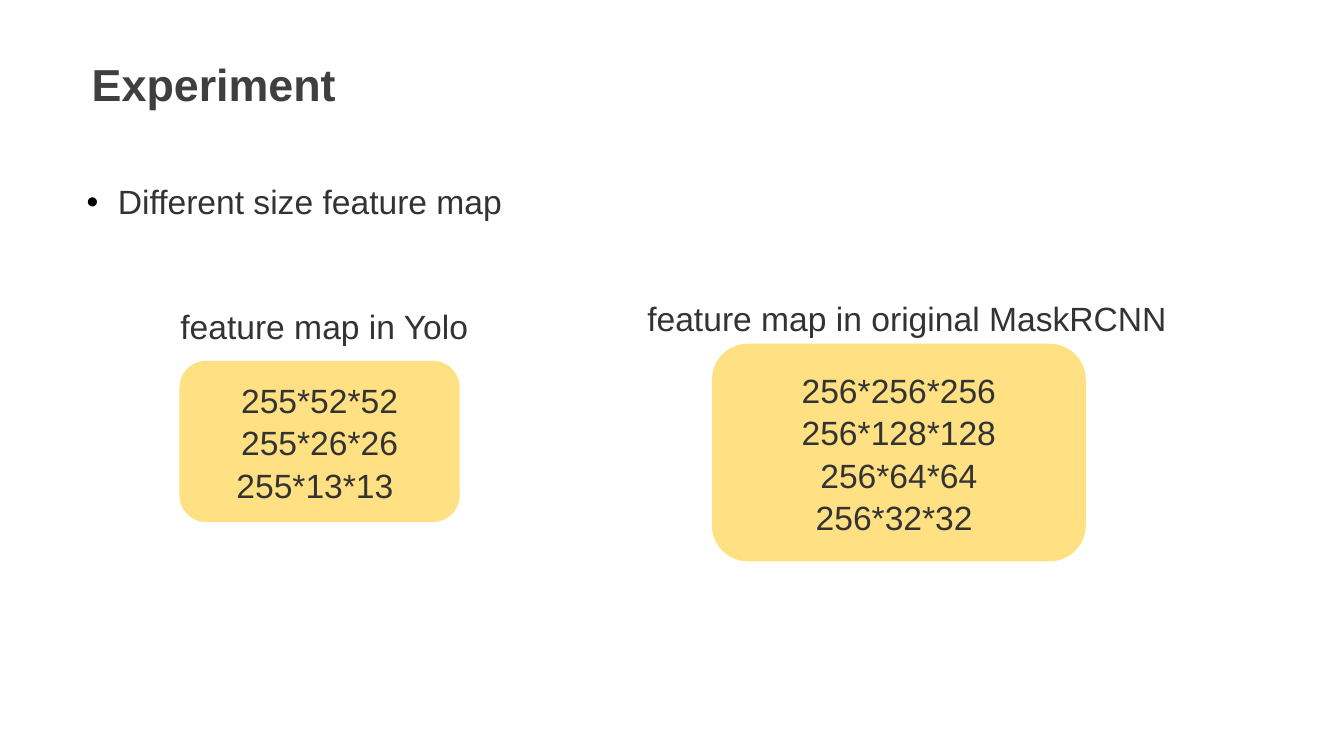
"""Build the Experiment slide comparing feature map sizes."""
import pptx
import pptx.util
import pptx.dml.color
import pptx.enum.shapes
import pptx.enum.text
import lxml.etree

PX = 9144
ANCHOR = pptx.enum.text.MSO_ANCHOR
ALIGN = pptx.enum.text.PP_ALIGN
A = "{http://schemas.openxmlformats.org/drawingml/2006/main}"


def rgb(value):
    return pptx.dml.color.RGBColor.from_string(value)


def write(sp, lines, size=24, color="333333", bold=False, align=ALIGN.LEFT, anchor=ANCHOR.TOP, spacing=1.05):
    tf = sp.text_frame
    tf.word_wrap = True
    tf.auto_size = pptx.enum.text.MSO_AUTO_SIZE.NONE
    tf.vertical_anchor = anchor
    for i, line in enumerate(lines):
        p = tf.add_paragraph() if i else tf.paragraphs[0]
        p.alignment = align
        p.line_spacing = spacing
        p.space_before = pptx.util.Pt(0)
        r = p.add_run()
        r.text = line
        r.font.name = "Arial"
        r.font.size = pptx.util.Pt(size)
        r.font.bold = bold
        r.font.color.rgb = rgb(color)
    return tf.paragraphs[0]


prs = pptx.Presentation()
prs.slide_width, prs.slide_height = 1333 * PX, 750 * PX
s = prs.slides.add_slide(prs.slide_layouts[5])

title = s.shapes.title
title.left, title.top, title.width, title.height = [v * PX for v in (81, 46, 1252, 126)]
write(title, ["Experiment"], size=32, color="3F3F3F", bold=True, spacing=1.1)

bullet = s.shapes.add_textbox(*[v * PX for v in (76, 173, 1121, 86)])
p = write(bullet, ["Different size feature map"])
pPr = p._p.get_or_add_pPr()
pPr.set("marL", str(31 * PX))
pPr.set("indent", str(-31 * PX))
buClr = lxml.etree.SubElement(pPr, A + "buClr")
lxml.etree.SubElement(buClr, A + "srgbClr", val="000000")
lxml.etree.SubElement(pPr, A + "buFont", typeface="Arial")
lxml.etree.SubElement(pPr, A + "buChar", char="•")

models = [
    ("feature map in Yolo", (119, 297, 379, 86), ALIGN.LEFT, 50,
     (178, 358, 278, 160), ["255*52*52", "255*26*26", "255*13*13 "]),
    ("feature map in original MaskRCNN", (577, 289, 645, 86), ALIGN.CENTER, 0,
     (706, 341, 371, 216), ["256*256*256", "256*128*128", "256*64*64", "256*32*32 "]),
]
for label, label_box, align, indent, size_box, sizes in models:
    sp = s.shapes.add_shape(
        pptx.enum.shapes.MSO_SHAPE.FLOWCHART_ALTERNATE_PROCESS, *[v * PX for v in size_box])
    sp.shadow.inherit = False
    sp.fill.solid()
    sp.fill.fore_color.rgb = rgb("FFC000")
    fill_color = sp._element.spPr.find(A + "solidFill/" + A + "srgbClr")
    lxml.etree.SubElement(fill_color, A + "alpha", val="49000")
    sp.line.fill.background()
    write(sp, sizes, align=ALIGN.CENTER, anchor=ANCHOR.MIDDLE)

    caption = s.shapes.add_textbox(*[v * PX for v in label_box])
    p = write(caption, [label], align=align)
    p._p.get_or_add_pPr().set("marL", str(indent * PX))

prs.save("out.pptx")
